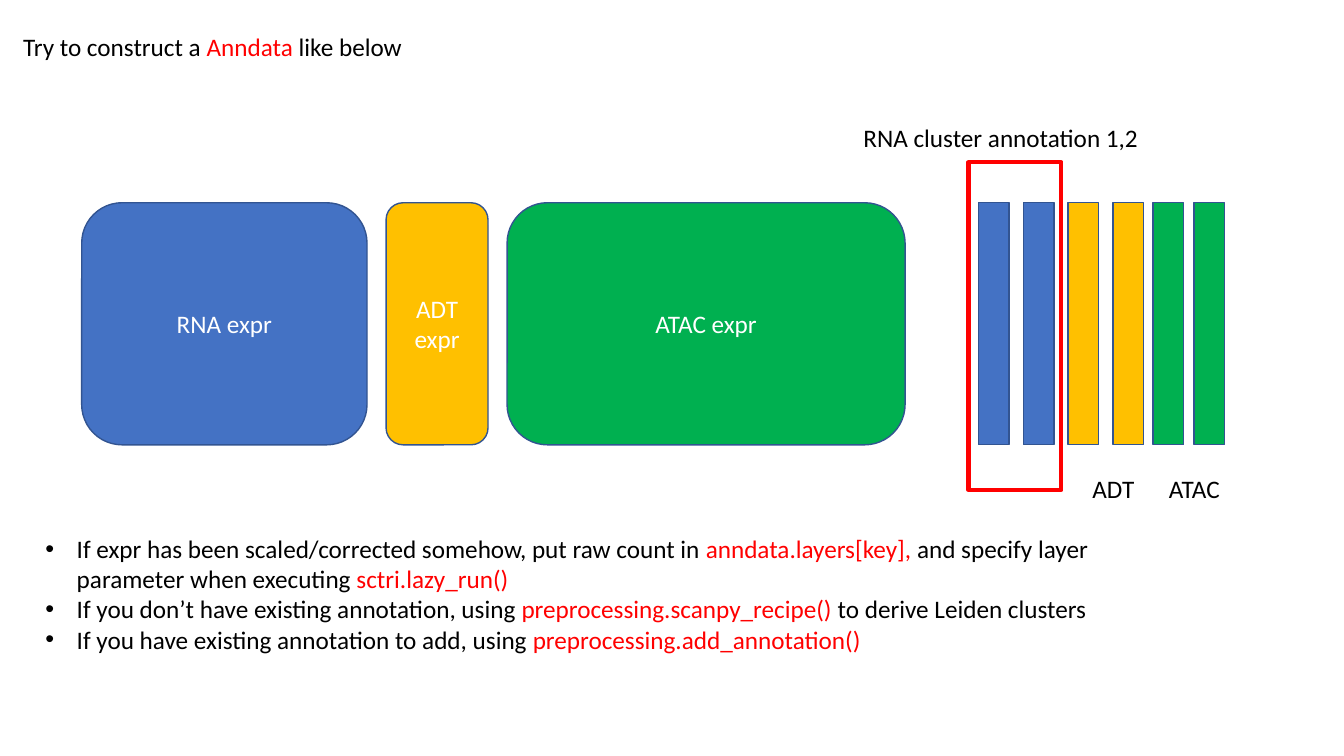
import pptx
import pptx.dml.color
import pptx.enum.shapes
import pptx.enum.text
import pptx.oxml.ns
import pptx.util
from pptx.util import Cm

COLORS = {
    "rna": "4472C4",
    "adt": "FFC000",
    "atac": "00B050",
    "outline": "325491",
    "highlight": "FF0000",
    "text": "000000",
    "block_text": "FFFFFF",
}
BLOCK_TOP, BLOCK_HEIGHT, BLOCK_GAP = 5.11, 6.1, 0.48
BAR_WIDTH = 0.77
MATRICES = [("RNA expr", "rna", 7.19), ("ADT expr", "adt", 2.57), ("ATAC expr", "atac", 10.03)]
ANNOTATIONS = [("rna", 24.66, 1.13), ("adt", 26.92, 1.13), ("atac", 29.06, 1.03)]
LABELS = [
    ("RNA cluster annotation 1,2", 21.51, 2.97, 7.92),
    ("ADT", 27.28, 11.79, 1.78),
    ("ATAC", 29.21, 11.79, 2.92),
]
TITLE = "Try to construct a |Anndata| like below"
NOTES = [
    "If expr has been scaled/corrected somehow, put raw count in |anndata.layers[key], |"
    "and specify layer parameter when executing |sctri.lazy_run()",
    "If you don’t have existing annotation, using |preprocessing.scanpy_recipe() |"
    "to derive Leiden clusters",
    "If you have existing annotation to add, using |preprocessing.add_annotation()",
]


def color(name):
    return pptx.dml.color.RGBColor.from_string(COLORS[name])


def write(paragraph, marked_text, color_name="text"):
    for index, piece in enumerate(marked_text.split("|")):
        run = paragraph.add_run()
        run.text = piece
        run.font.name = "Calibri"
        run.font.size = pptx.util.Pt(18)
        run.font.color.rgb = color("highlight" if index % 2 else color_name)


def place(shape, left, top, width, height):
    shape.left, shape.top = Cm(left), Cm(top)
    shape.width, shape.height = Cm(width), Cm(height)


def add_block(slide, kind, bounds, fill, line="outline", line_width=1):
    shape = slide.shapes.add_shape(kind, *map(Cm, bounds))
    shape.shadow.inherit = False
    if fill:
        shape.fill.solid()
        shape.fill.fore_color.rgb = color(fill)
    else:
        shape.fill.background()
    shape.line.color.rgb = color(line)
    shape.line.width = pptx.util.Pt(line_width)
    return shape


def add_matrix(slide, text, fill, left, width):
    kind = pptx.enum.shapes.MSO_SHAPE.ROUNDED_RECTANGLE
    shape = add_block(slide, kind, (left, BLOCK_TOP, width, BLOCK_HEIGHT), fill)
    shape.text_frame.vertical_anchor = pptx.enum.text.MSO_ANCHOR.MIDDLE
    paragraph = shape.text_frame.paragraphs[0]
    paragraph.alignment = pptx.enum.text.PP_ALIGN.CENTER
    write(paragraph, text, "block_text")


def add_label(slide, text, left, top, width):
    shape = slide.shapes.add_textbox(Cm(left), Cm(top), Cm(width), Cm(1.02))
    shape.text_frame.word_wrap = True
    write(shape.text_frame.paragraphs[0], text)


def prepare_frame(shape):
    frame = shape.text_frame
    frame.word_wrap = True
    frame.auto_size = pptx.enum.text.MSO_AUTO_SIZE.NONE
    frame.vertical_anchor = pptx.enum.text.MSO_ANCHOR.TOP
    return frame


def fill_title(shape):
    place(shape, 0.33, 0.66, 16.61, 1.02)
    paragraph = prepare_frame(shape).paragraphs[0]
    paragraph.alignment = pptx.enum.text.PP_ALIGN.LEFT
    write(paragraph, TITLE)


def add_bullet(paragraph):
    properties = paragraph._p.get_or_add_pPr()
    properties.set("marL", str(Cm(0.79)))
    properties.set("indent", str(-Cm(0.79)))
    for tag, name, value in (("a:buFont", "typeface", "Arial"), ("a:buChar", "char", "•")):
        element = properties.makeelement(pptx.oxml.ns.qn(tag), {name: value})
        properties.append(element)


def fill_notes(shape):
    place(shape, 0.89, 13.31, 28.93, 3.33)
    frame = prepare_frame(shape)
    for index, note in enumerate(NOTES):
        paragraph = frame.add_paragraph() if index else frame.paragraphs[0]
        paragraph.space_before = pptx.util.Pt(0)
        add_bullet(paragraph)
        write(paragraph, note)


def main():
    presentation = pptx.Presentation()
    presentation.slide_width, presentation.slide_height = Cm(33.87), Cm(19.05)
    slide = presentation.slides.add_slide(presentation.slide_layouts[1])
    fill_title(slide.shapes.title)
    fill_notes(slide.placeholders[1])

    left = 2.06
    for text, fill, width in MATRICES:
        add_matrix(slide, text, fill, left, width)
        left += width + BLOCK_GAP

    rectangle = pptx.enum.shapes.MSO_SHAPE.RECTANGLE
    for fill, start, step in ANNOTATIONS:
        for bar_left in (start, start + step):
            add_block(slide, rectangle, (bar_left, BLOCK_TOP, BAR_WIDTH, BLOCK_HEIGHT), fill)
    add_block(slide, rectangle, (24.41, 4.09, 2.34, 8.26), None, "highlight", 3)

    for label in LABELS:
        add_label(slide, *label)
    presentation.save("out.pptx")


if __name__ == "__main__":
    main()
